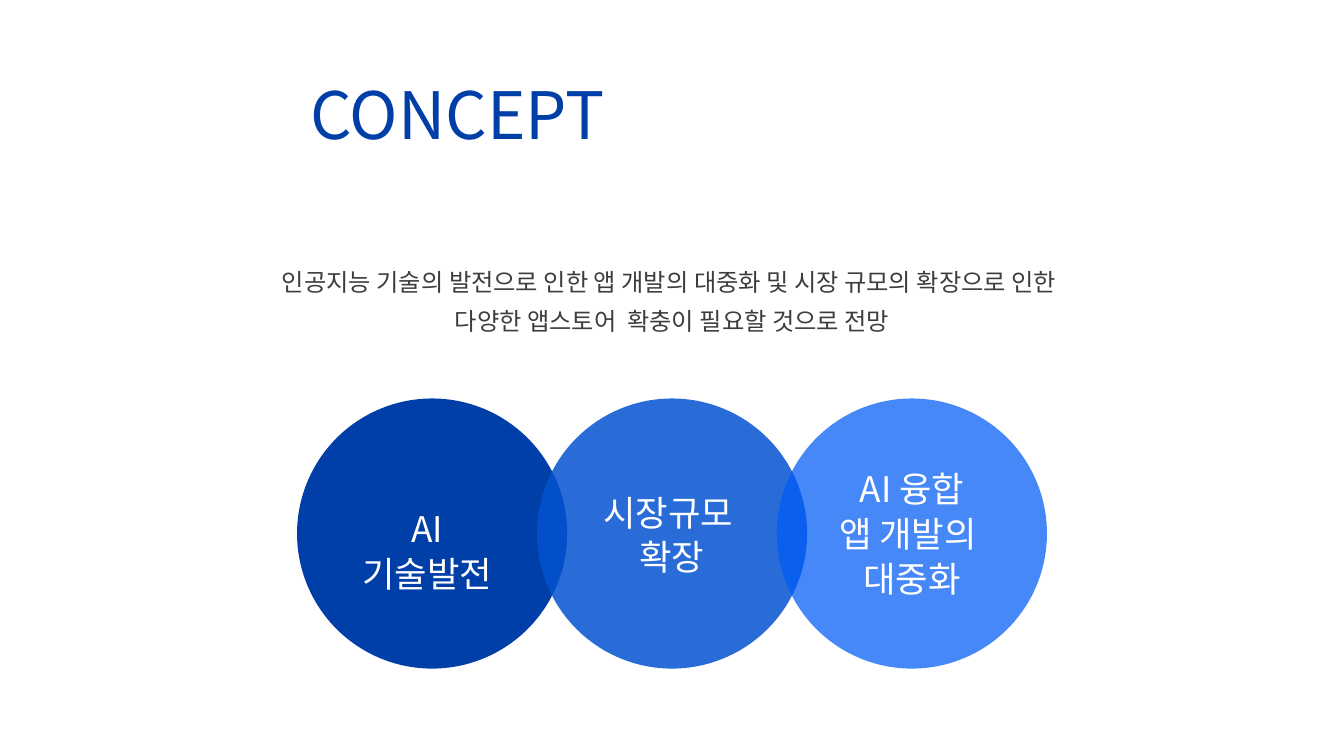
"""Build the CONCEPT slide: a title, a summary and three overlapping circles."""
from lxml import etree
from pptx import Presentation, util as u
from pptx.dml.color import RGBColor
from pptx.enum import shapes, text
from pptx.oxml.ns import qn

NOTO = "Noto Sans CJK KR"
BLUE = "003EA8"
deck = Presentation()
deck.slide_width, deck.slide_height = u.Inches(20), u.Inches(11.25)


def area(left, top, width, height):
    wide, high = deck.slide_width / 100, deck.slide_height / 100
    return [round(n) for n in (left * wide, top * high, width * wide, height * high)]


def write(box, lines, size, lead, hue="FFFFFF", fonts=(NOTO,)):
    frame = box.text_frame
    frame.word_wrap = True
    frame.auto_size = text.MSO_AUTO_SIZE.NONE
    frame.vertical_anchor = text.MSO_ANCHOR.TOP
    frame.margin_left = frame.margin_right = frame.margin_top = frame.margin_bottom = 0
    for i, line in enumerate(lines):
        para = frame.paragraphs[0] if i == 0 else frame.add_paragraph()
        para.alignment = text.PP_ALIGN.CENTER
        para.line_spacing = u.Pt(lead)
        para.space_before = u.Pt(0)
        run = para.add_run()
        run.text = line
        run.font.size = u.Pt(size)
        run.font.name = fonts[min(i, len(fonts) - 1)]
        run.font.color.rgb = RGBColor.from_string(hue)
        etree.SubElement(run.font._element, qn("a:ea")).set("typeface", NOTO)


slide = deck.slides.add_slide(deck.slide_layouts[5])
title = slide.shapes.title
title.left, title.top, title.width, title.height = area(10.85, 9.24, 46.35, 10.76)
write(title, ["CONCEPT"], 70, 88.9, BLUE)

lead = slide.shapes.add_textbox(*area(20.75, 34.13, 58.55, 9.96))
write(lead, ["인공지능 기술의 발전으로 인한 앱 개발의 대중화 및 시장 규모의 확장으로 인한 ",
             "다양한 앱스토어  확충이 필요할 것으로 전망"], 26, 41.3, "3D3D3D", ("Calibri",))

for i, (hue, alpha) in enumerate([(BLUE, 100), ("0452D0", 85), ("005BF7", 72)]):
    disc = slide.shapes.add_shape(shapes.MSO_SHAPE.OVAL, *area(22.1 + 17.85 * i, 52.71, 20.1, 35.73))
    disc.shadow.inherit = False
    disc.line.fill.background()
    disc.fill.solid()
    disc.fill.fore_color.rgb = RGBColor.from_string(hue)
    if alpha < 100:
        tint = disc._element.spPr.find(qn("a:solidFill"))[0]
        etree.SubElement(tint, qn("a:alpha")).set("val", str(alpha * 1000))

labels = [
    (25.8, 66.84, 12, 11.64, ["AI 기술발전"], (NOTO,)),
    (43.6, 64.62, 12.8, 11.64, ["시장규모 ", "확장"], ("Calibri",)),
    (61.45, 61.51, 12.8, 17.96, ["AI 융합", "앱 개발의 ", "대중화"], (NOTO, "Calibri")),
]
for left, top, width, height, lines, fonts in labels:
    label = slide.shapes.add_textbox(*area(left, top, width, height))
    write(label, lines, 37.8, 47.9, fonts=fonts)

deck.save("out.pptx")
